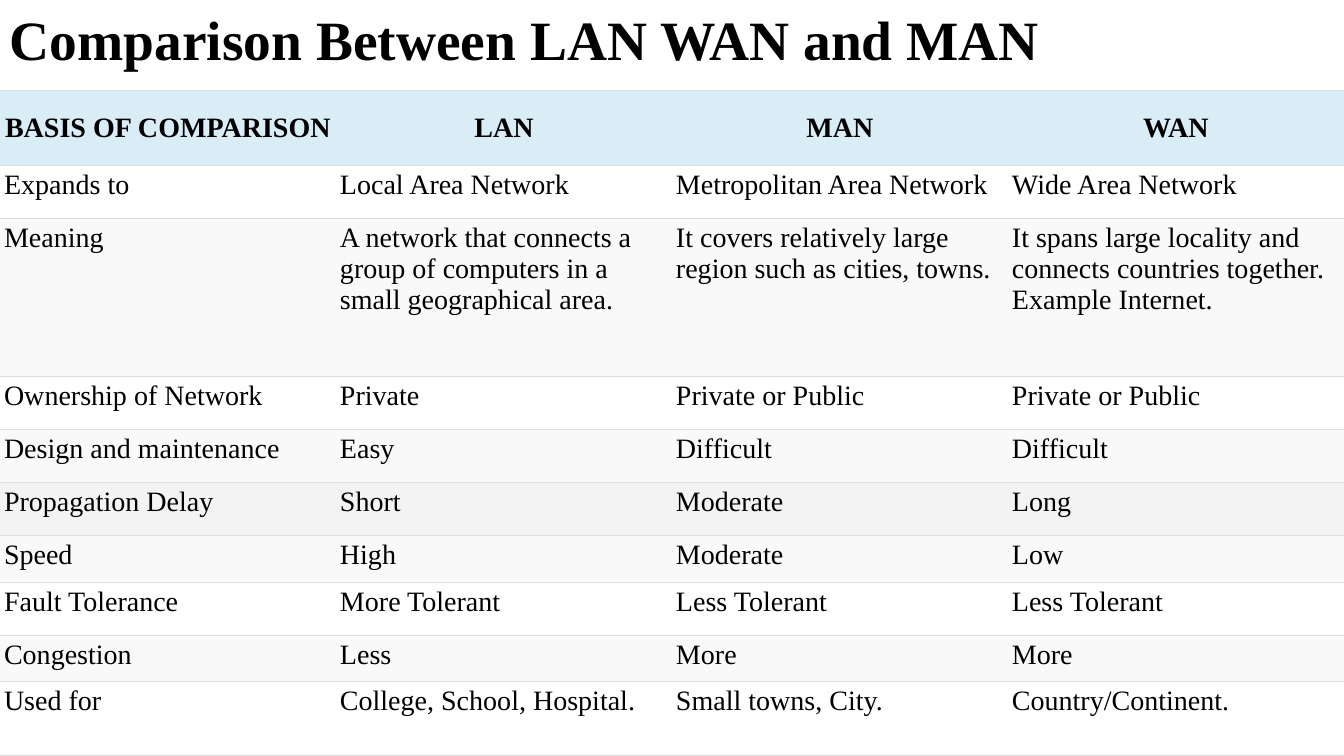
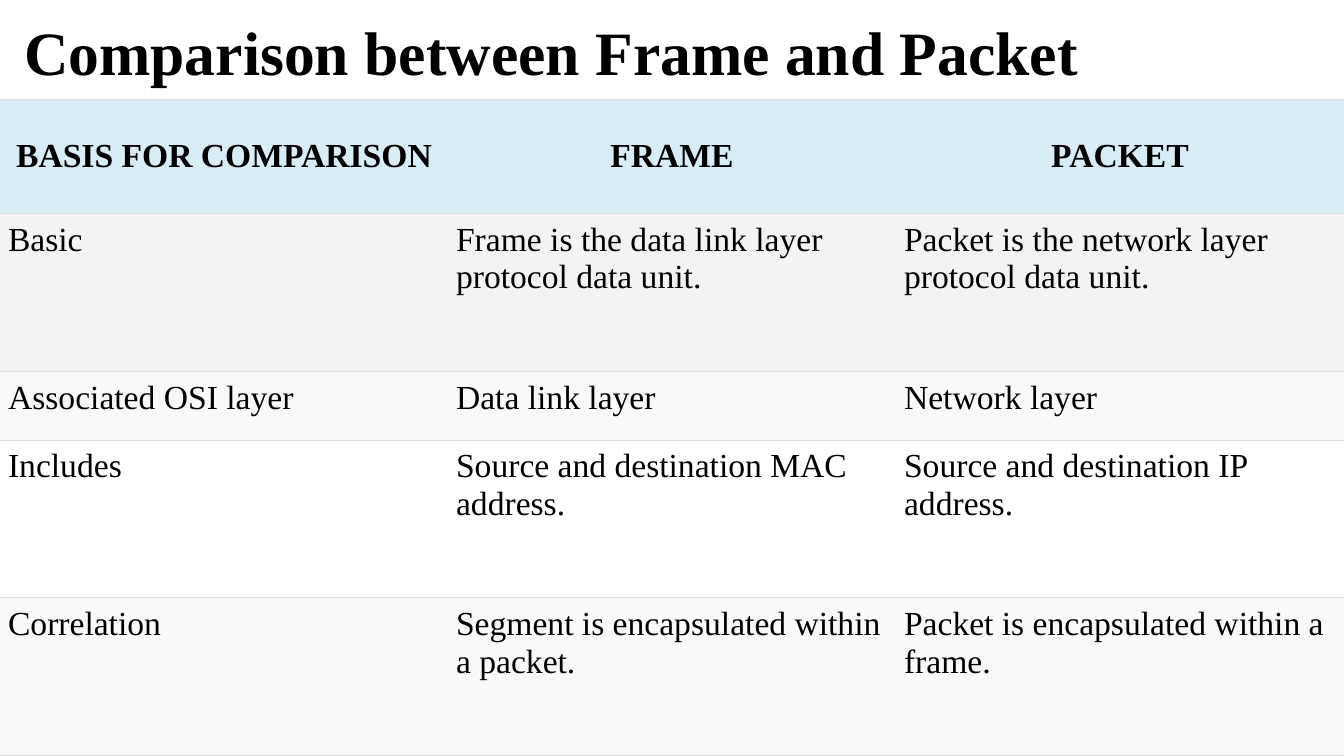
from lxml import etree
from pptx import Presentation
from pptx import util as u
from pptx.dml.color import RGBColor
from pptx.enum import text
from pptx.oxml import ns

WIDTH, HEIGHT = 13.33, 7.5
FONT = "Times New Roman"
INK, RULE = "000000", "DDDDDD"
HEADER, PLAIN, STRIPE, ACCENT = "D9EDF7", "FFFFFF", "F9F9F9", "F3F3F3"

NETWORKS = [
    ("BASIS OF COMPARISON", "LAN", "MAN", "WAN"),
    ("Expands to", "Local Area Network", "Metropolitan Area Network", "Wide Area Network"),
    ("Meaning",
     "A network that connects a group of computers in a small geographical area.",
     "It covers relatively large region such as cities, towns.",
     "It spans large locality and connects countries together. Example Internet."),
    ("Ownership of Network", "Private", "Private or Public", "Private or Public"),
    ("Design and maintenance", "Easy", "Difficult", "Difficult"),
    ("Propagation Delay", "Short", "Moderate", "Long"),
    ("Speed", "High", "Moderate", "Low"),
    ("Fault Tolerance", "More Tolerant", "Less Tolerant", "Less Tolerant"),
    ("Congestion", "Less", "More", "More"),
    ("Used for", "College, School, Hospital.", "Small towns, City.", "Country/Continent."),
]
UNITS = [
    ("BASIS FOR COMPARISON", "FRAME", "PACKET"),
    ("Basic",
     "Frame is the data link layer protocol data unit.",
     "Packet is the network layer protocol data unit."),
    ("Associated OSI layer", "Data link layer", "Network layer"),
    ("Includes", "Source and destination MAC address.", "Source and destination IP address."),
    ("Correlation",
     "Segment is encapsulated within a packet.",
     "Packet is encapsulated within a frame."),
]


def color(value):
    """Turn a hex string into a colour."""
    return RGBColor.from_string(value)


def write(frame, words, size, bold=False, align=text.PP_ALIGN.LEFT, spacing=None):
    """Put one formatted paragraph into a text frame."""
    frame.word_wrap = True
    para = frame.paragraphs[0]
    para.alignment = align
    para.line_spacing = spacing
    span = para.add_run()
    span.text = words
    span.font.name = FONT
    span.font.size = u.Pt(size)
    span.font.bold = bold
    span.font.color.rgb = color(INK)


def add_title(page, box, words, size):
    """Place the slide heading in its box."""
    frame = page.shapes.add_textbox(*map(u.Inches, box)).text_frame
    frame.vertical_anchor = text.MSO_ANCHOR.MIDDLE
    write(frame, words, size, bold=True, spacing=0.9)


def set_borders(cell):
    """Rule a cell above and below and leave its sides open."""
    properties = cell._tc.get_or_add_tcPr()
    for side in ("lnL", "lnR", "lnT", "lnB"):
        line = etree.SubElement(properties, ns.qn(f"a:{side}"), w=str(u.Pt(0.75)))
        if side in ("lnT", "lnB"):
            solid = etree.SubElement(line, ns.qn("a:solidFill"))
            etree.SubElement(solid, ns.qn("a:srgbClr"), val=RULE)
        else:
            etree.SubElement(line, ns.qn("a:noFill"))


def row_fill(index, accent):
    """Choose the fill of a row by its place in the table."""
    if index == 0:
        return HEADER
    if index == accent:
        return ACCENT
    return PLAIN if index % 2 else STRIPE


def fill_cell(cell, words, size, inset, fill, is_header):
    """Style one table cell and write its text."""
    cell.margin_left = cell.margin_right = u.Inches(inset)
    cell.margin_top = cell.margin_bottom = u.Inches(inset)
    cell.vertical_anchor = text.MSO_ANCHOR.MIDDLE if is_header else text.MSO_ANCHOR.TOP
    set_borders(cell)
    cell.fill.solid()
    cell.fill.fore_color.rgb = color(fill)
    align = text.PP_ALIGN.CENTER if is_header else text.PP_ALIGN.LEFT
    write(cell.text_frame, words, size, bold=is_header, align=align)


def add_comparison(page, box, rows, shares, size, inset, accent):
    """Place a comparison table with equal columns and rows sharing the height."""
    width, height = box[2:]
    columns = len(rows[0])
    table = page.shapes.add_table(len(rows), columns, *map(u.Inches, box)).table
    table.first_row = table.horz_banding = False
    for column in table.columns:
        column.width = u.Inches(width / columns)
    for index, (words, share) in enumerate(zip(rows, shares)):
        table.rows[index].height = u.Inches(height * share / sum(shares))
        fill = row_fill(index, accent)
        for cell, content in zip(table.rows[index].cells, words):
            fill_cell(cell, content, size, inset, fill, index == 0)


def add_page(deck, title, title_box, title_size, top, **table):
    """Add a slide with a heading above a table that reaches the bottom edge."""
    page = deck.slides.add_slide(deck.slide_layouts[6])
    add_title(page, title_box, title, title_size)
    add_comparison(page, (0, top, WIDTH, HEIGHT - top), **table)


def main():
    """Build and save the deck."""
    deck = Presentation()
    deck.slide_width, deck.slide_height = u.Inches(WIDTH), u.Inches(HEIGHT)
    add_page(deck, "Comparison Between LAN WAN and MAN", (0, 0.12, 11.5, 0.61), 39.6, 0.9,
             rows=NETWORKS, size=20, inset=0.04, accent=5,
             shares=[0.74, 0.53, 1.57, 0.53, 0.53, 0.53, 0.46, 0.53, 0.46, 0.74])
    add_page(deck, "Comparison between Frame and Packet", (0.14, 0.13, 11.5, 0.85), 44, 0.99,
             rows=UNITS, size=24, inset=0.08, accent=1,
             shares=[1.12, 1.56, 0.68, 1.56, 1.56])
    deck.save("out.pptx")


if __name__ == "__main__":
    main()
